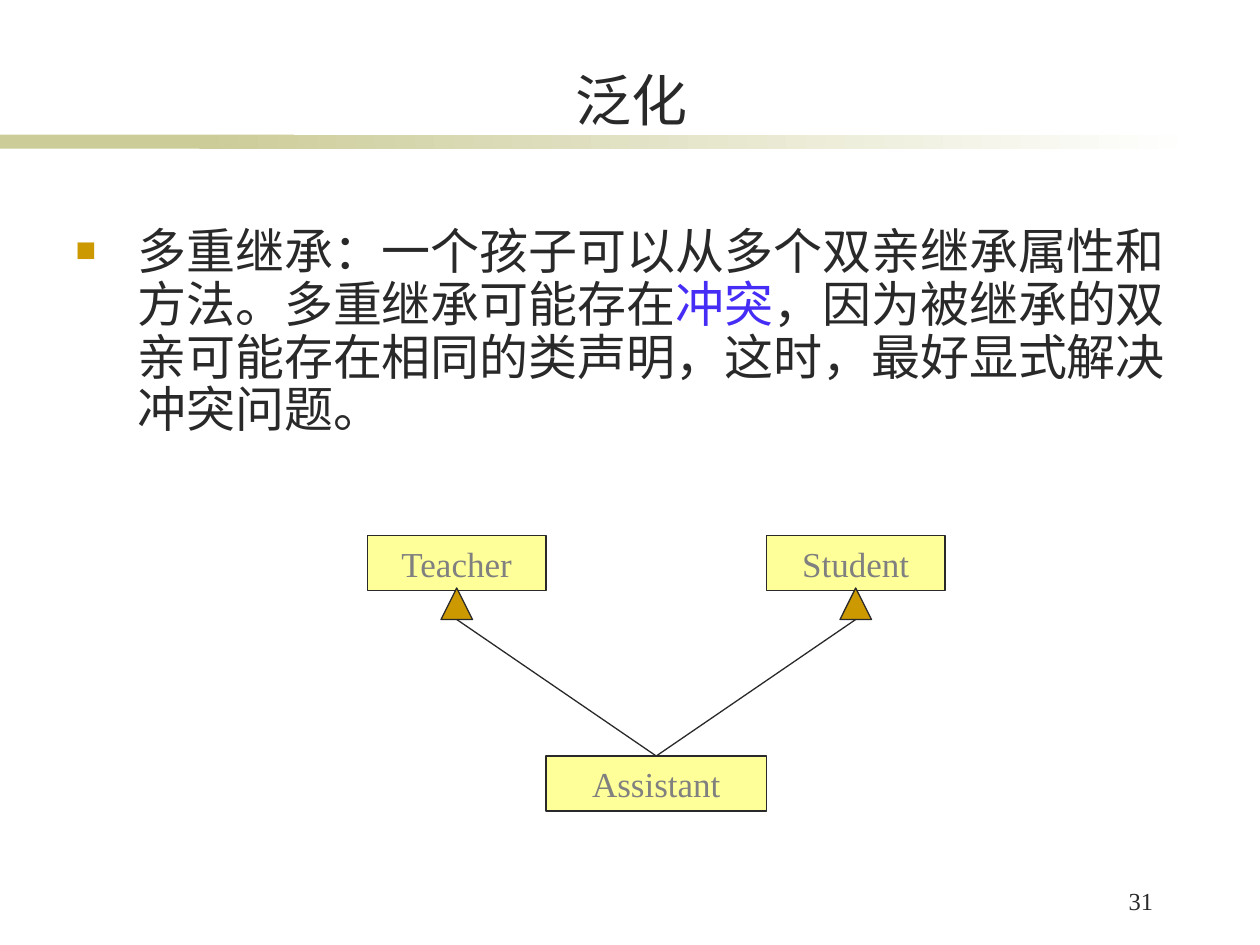
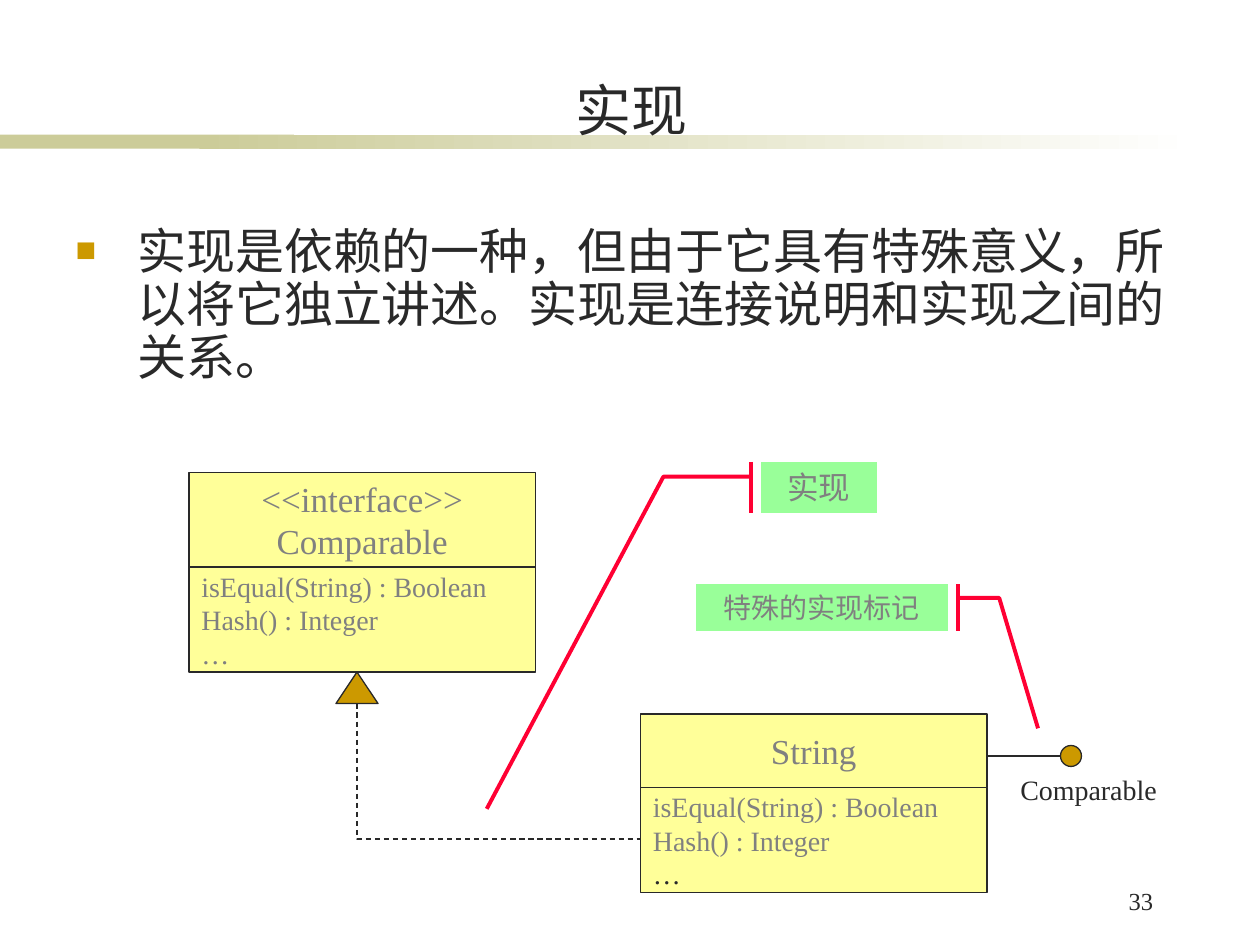
"""Build two UML slides: multiple inheritance and realization."""
from lxml import etree
from pptx import Presentation
from pptx.dml.color import RGBColor
from pptx.enum.dml import MSO_LINE
from pptx.enum.shapes import MSO_CONNECTOR, MSO_SHAPE
from pptx.enum.text import MSO_ANCHOR, MSO_AUTO_SIZE, PP_ALIGN
from pptx.oxml.ns import qn
from pptx.util import Pt

RECTANGLE, TRIANGLE, OVAL = MSO_SHAPE.RECTANGLE, MSO_SHAPE.ISOSCELES_TRIANGLE, MSO_SHAPE.OVAL
CALLOUT = MSO_SHAPE.LINE_CALLOUT_2_ACCENT_BAR
STRAIGHT, ELBOW = MSO_CONNECTOR.STRAIGHT, MSO_CONNECTOR.ELBOW
DASH = MSO_LINE.DASH
LEFT, CENTER, RIGHT = PP_ALIGN.LEFT, PP_ALIGN.CENTER, PP_ALIGN.RIGHT
TOP, MIDDLE, BOTTOM = MSO_ANCHOR.TOP, MSO_ANCHOR.MIDDLE, MSO_ANCHOR.BOTTOM

FONT = "Times New Roman"
INK, GRAY, BLUE, RED = "292929", "808080", "452DF5", "FF0033"
OLIVE, WHITE, GOLD, YELLOW, GREEN = "CCCC99", "FFFFFF", "CC9900", "FFFF99", "99FF99"

INHERITANCE = {
    "title": "泛化", "title_top": 31.7, "number": "31", "body_size": (639.4, 136),
    "body": [
        ("多重继承：一个孩子可以从多个双亲继承属性和方法。多重继承可能存在", INK),
        ("冲突", BLUE),
        ("，因为被继承的双亲可能存在相同的类声明，这时，最好显式解决冲突问题。", INK),
    ],
}
REALIZATION = {
    "title": "实现", "title_top": 37.4, "number": "33", "body_size": (648, 110),
    "body": [("实现是依赖的一种，但由于它具有特殊意义，所以将它独立讲述。"
              "实现是连接说明和实现之间的关系。", INK)],
}
CHILD = ("Assistant", (312, 432, 126, 31.5))
PARENTS = [("Teacher", (210, 306, 102, 31.5)), ("Student", (438, 306, 102, 31.5))]
METHODS = ["isEqual(String) : Boolean", "Hash() : Integer"]
CLASSES = [
    (["String"], INK, (366, 408), 42),
    (["<<interface>>", "Comparable"], GRAY, (108, 270), 54),
]
CLASS_WIDTH, METHODS_HEIGHT = 198, 60
CALLOUTS = [
    ("实现", 18, (435, 264, 66, 29), (0.289, -0.091, 0.289, -0.847, 6.835, -2.377)),
    ("特殊的实现标记", 16, (397.5, 334, 144, 26.6), (0.289, 1.042, 0.289, 1.205, 3.092, 1.359)),
]


def color(value):
    """Turn a hex string into a colour."""
    return RGBColor.from_string(value)


def place(box, left, top, width, height):
    """Move and size a shape in points."""
    box.left, box.top, box.width, box.height = Pt(left), Pt(top), Pt(width), Pt(height)


def write(box, paragraphs, size, align=LEFT, anchor=TOP):
    """Fill a box with paragraphs, each a list of (text, colour) spans."""
    frame = box.text_frame
    frame.word_wrap, frame.auto_size = True, MSO_AUTO_SIZE.NONE
    frame.vertical_anchor = anchor
    for index, spans in enumerate(paragraphs):
        para = frame.add_paragraph() if index else frame.paragraphs[0]
        para.alignment = align
        para.space_before = Pt(0)
        for text, tint in spans:
            span = para.add_run()
            span.text = text
            span.font.name, span.font.size = FONT, Pt(size)
            span.font.color.rgb = color(tint)


def add_text(page, bounds, text, size, align=LEFT):
    """Add a plain text box."""
    box = page.shapes.add_textbox(*map(Pt, bounds))
    write(box, [[(text, INK)]], size, align)


def add_box(page, kind, bounds, fill, line=INK, weight=0.75):
    """Add a flat preset shape, without outline when line is None."""
    box = page.shapes.add_shape(kind, *map(Pt, bounds))
    box.shadow.inherit = False
    box.fill.solid()
    box.fill.fore_color.rgb = color(fill)
    if line:
        box.line.color.rgb = color(line)
        box.line.width = Pt(weight)
    else:
        box.line.fill.background()
    return box


def add_line(page, start, end, kind=STRAIGHT):
    """Add a thin connector without shadow."""
    line = page.shapes.add_connector(kind, *map(Pt, start + end))
    line.line.color.rgb = color(INK)
    line.line.width = Pt(0.75)
    etree.SubElement(line._element.spPr, qn("a:effectLst"))
    return line


def add_corner(page, top, end):
    """Add a dashed connector that runs down from top, then right to end."""
    width, height = end[1] - top[1], end[0] - top[0]
    left = (top[0] + end[0] - width) / 2
    upper = (top[1] + end[1] - height) / 2
    corner = add_line(page, (left + width, upper), (left, upper + height), ELBOW)
    corner.line.dash_style = DASH
    properties = corner._element.spPr
    properties.find(qn("a:xfrm")).set("rot", str(270 * 60000))
    properties.find(qn("a:prstGeom")).set("prst", "bentConnector2")


def add_bands(page, layout):
    """Draw the title bands and move them into the shared layout."""
    solid = add_box(page, RECTANGLE, (0, 77, 168, 8), OLIVE, None)
    fading = add_box(page, RECTANGLE, (114, 77, 570, 8), OLIVE, None)
    fading.fill.gradient()
    fading.fill.gradient_angle = 0
    for stop, tint, position in zip(fading.fill.gradient_stops, (OLIVE, WHITE), (0, 1)):
        stop.color.rgb = color(tint)
        stop.position = position
    for index, band in enumerate((solid, fading)):
        band._element.nvSpPr.cNvPr.set("id", str(101 + index))
        layout.shapes._spTree.insert(2 + index, band._element)


def add_bullet(para):
    """Give a paragraph a hanging square bullet."""
    para.line_spacing = 0.9
    properties = para._p.get_or_add_pPr()
    properties.set("marL", str(Pt(35.3)))
    properties.set("indent", str(-Pt(35.3)))
    tint = etree.SubElement(properties, qn("a:buClr"))
    etree.SubElement(tint, qn("a:srgbClr"), val=GOLD)
    etree.SubElement(properties, qn("a:buSzPct"), val="70000")
    etree.SubElement(properties, qn("a:buFont"), typeface=FONT)
    etree.SubElement(properties, qn("a:buChar"), char="■")


def add_page(deck, layout, content):
    """Add a slide with title, bulleted text and page number."""
    page = deck.slides.add_slide(layout)
    title, body = page.placeholders
    place(title, 36.7, content["title_top"], 648, 47.5)
    write(title, [[(content["title"], INK)]], 32, CENTER, BOTTOM)
    place(body, 36, 126, *content["body_size"])
    write(body, [content["body"]], 28)
    add_bullet(body.text_frame.paragraphs[0])
    add_text(page, (592.5, 502.5, 73.5, 28), content["number"], 14, RIGHT)
    return page


def draw_inheritance(page):
    """Draw one child class below its two parents."""
    for name, bounds in [CHILD, *PARENTS]:
        box = add_box(page, RECTANGLE, bounds, YELLOW)
        write(box, [[(name, GRAY)]], 20, CENTER, MIDDLE)
    left, top, width, _ = CHILD[1]
    for _, (parent_left, _, parent_width, _) in PARENTS:
        middle = parent_left + parent_width / 2
        add_box(page, TRIANGLE, (middle - 9, 336, 18, 18), GOLD)
        add_line(page, (middle, 354), (left + width / 2, top))


def draw_realization(page):
    """Draw the interface, the class that realizes it and two callouts."""
    for names, ellipsis_tint, (left, top), height in CLASSES:
        head = add_box(page, RECTANGLE, (left, top, CLASS_WIDTH, height), YELLOW, weight=1)
        write(head, [[(name, GRAY)] for name in names], 20, CENTER, MIDDLE)
        bounds = (left, top + height, CLASS_WIDTH, METHODS_HEIGHT)
        members = add_box(page, RECTANGLE, bounds, YELLOW, weight=1)
        rows = [[(method, GRAY)] for method in METHODS] + [[("…", ellipsis_tint)]]
        write(members, rows, 16, LEFT, MIDDLE)
    add_line(page, (564, 432), (606, 432))
    add_box(page, OVAL, (606, 426, 12, 12), GOLD)
    add_text(page, (576, 438, 114, 26.6), "Comparable", 16)
    add_box(page, TRIANGLE, (192, 384, 24, 18), GOLD)
    add_corner(page, (204, 402), (366, 479.5))
    for text, size, bounds, adjustments in CALLOUTS:
        callout = add_box(page, CALLOUT, bounds, GREEN, RED, 2.25)
        for index, value in enumerate(adjustments):
            callout.adjustments[index] = value
        write(callout, [[(text, GRAY)]], size, CENTER, MIDDLE)


def main():
    """Build and save the deck."""
    deck = Presentation()
    deck.slide_width, deck.slide_height = Pt(720), Pt(540)
    layout = deck.slide_layouts[1]
    inheritance = add_page(deck, layout, INHERITANCE)
    add_bands(inheritance, layout)
    draw_inheritance(inheritance)
    draw_realization(add_page(deck, layout, REALIZATION))
    deck.save("out.pptx")


if __name__ == "__main__":
    main()
